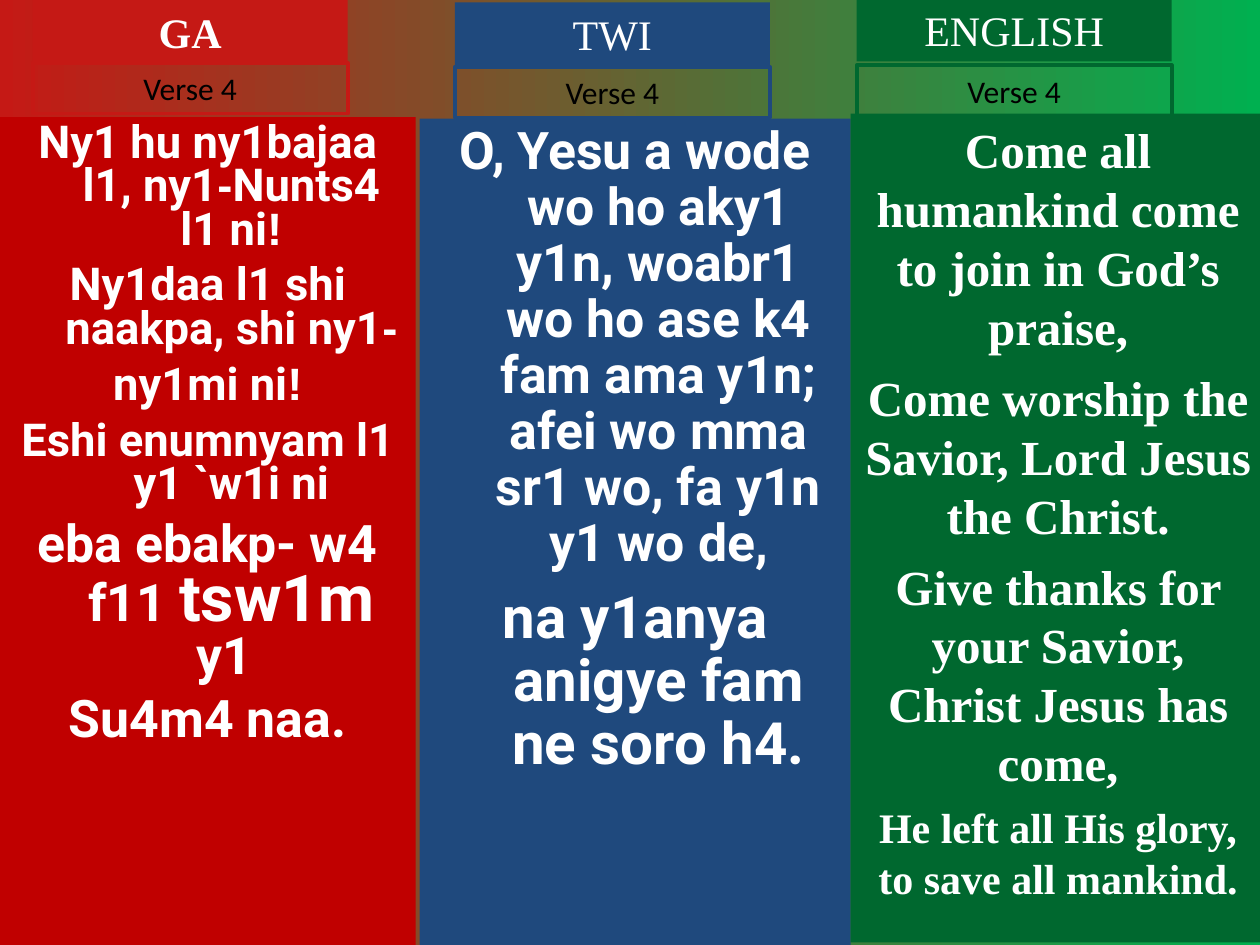
"""Build a hymn slide with one verse in three language columns."""
from dataclasses import dataclass

from pptx import Presentation
from pptx.dml.color import RGBColor
from pptx.enum.shapes import MSO_SHAPE as Kind
from pptx.enum.text import MSO_ANCHOR as Anchor, PP_ALIGN as Align
from pptx.util import Cm, Pt

ROBO, SANS, SERIF = "Roboto", "Arial", "Times New Roman"
WHITE, BLACK = "FFFFFF", "000000"
HANG = Cm(0.95)


@dataclass
class Run:
    text: str
    font: str = ""
    size: float = 0


@dataclass
class Line:
    runs: list[Run]
    size: float
    gap: float = 0


@dataclass
class Column:
    name: str
    bold: bool
    fill: str
    tint: str
    box: tuple[float, float, float, float]
    left: float
    top: float
    low: float
    font: str
    hang: bool
    pitch: float
    lines: list[Line]


COLUMNS = [
    Column("GA", True, "C00000", "C51915", (0, 2.36, 8.38, 16.69),
           0.66, 0, 1.27, ROBO, True, 0.8, [
        Line([Run("Ny1 hu ny1bajaa l1, ny1"), Run("-", SANS),
              Run("Nunts4 l1 ni"), Run("!", SANS)], 25.9),
        Line([Run("Ny1daa l1 shi naakpa, shi ny1"), Run("- ", SANS)], 25.9, 7),
        Line([Run("ny1mi ni"), Run("!", SANS)], 25.9, 7),
        Line([Run("Eshi enumnyam l1 y1 `w1i ni")], 25.9, 7),
        Line([Run("eba ebakp- w4 f11 "), Run("tsw1m ", size=37),
              Run("y1 ")], 29.6, 8),
        Line([Run("Su4m4 naa.")], 29.6, 8)]),
    Column("TWI", False, "1F497D", "1F497D", (8.46, 2.39, 8.69, 16.66),
           9.17, 0.05, 1.35, ROBO, True, 0.9, [
        Line([Run("O, Yesu a wode wo ho aky1 y1n, woabr1 wo ho ase k4 fam "
                  "ama y1n; afei wo mma sr1 wo, fa y1n y1 wo de,")], 29.6),
        Line([Run("na y1anya anigye fam ne soro h4.")], 33.3, 9)]),
    Column("ENGLISH", False, "00682F", "00682F", (17.15, 2.29, 8.36, 16.71),
           17.27, -0.03, 1.32, SERIF, False, 1.0, [
        Line([Run("Come all humankind come to join in God’s praise,")], 28),
        Line([Run("Come worship the Savior, Lord Jesus the Christ.")], 28, 7),
        Line([Run("Give thanks for your Savior, Christ Jesus has come,")],
             28, 7),
        Line([Run("He left all His glory, to save all mankind.")], 24, 6)]),
]


def color(code: str) -> RGBColor:
    return RGBColor.from_string(code)


def add_box(slide, box: tuple, fill: str = "", edge: str = ""):
    shape = slide.shapes.add_shape(Kind.RECTANGLE, *map(Cm, box))
    shape.shadow.inherit = False
    if fill:
        shape.fill.solid()
        shape.fill.fore_color.rgb = color(fill)
    else:
        shape.fill.background()
    if edge:
        shape.line.color.rgb = color(edge)
        shape.line.width = Pt(2.25)
    else:
        shape.line.fill.background()
    frame = shape.text_frame
    frame.word_wrap = True
    frame.vertical_anchor = Anchor.TOP
    return frame


def style(para, font: str, size: float, tint: str, bold: bool) -> None:
    para.alignment = Align.CENTER
    para.font.name = font
    para.font.size = Pt(size)
    para.font.bold = bold
    para.font.color.rgb = color(tint)
    for run in para.runs:
        run.font.color.rgb = color(tint)


def add_label(slide, box: tuple, text: str, font: str, size: float,
              tint: str, bold: bool = False, **look: str) -> None:
    para = add_box(slide, box, **look).paragraphs[0]
    para.add_run().text = text
    style(para, font, size, tint, bold)


def add_verse(slide, col: Column) -> None:
    frame = add_box(slide, col.box, col.fill)
    for i, line in enumerate(col.lines):
        para = frame.add_paragraph() if i else frame.paragraphs[0]
        if col.hang:
            props = para._p.get_or_add_pPr()
            props.set("marL", str(HANG))
            props.set("indent", str(-HANG))
        para.line_spacing = col.pitch
        para.space_before = Pt(line.gap)
        for part in line.runs:
            run = para.add_run()
            run.text = part.text
            run.font.name = part.font or col.font
            run.font.size = Pt(part.size or line.size)
            run.font.bold = True
        style(para, col.font, line.size, WHITE, True)


def add_column(slide, col: Column) -> None:
    add_verse(slide, col)
    add_label(slide, (col.left, col.top, 6.35, 1.27), col.name, SERIF, 24,
              WHITE, col.bold, fill=col.tint)
    add_label(slide, (col.left, col.low, 6.35, 1.02), "Verse 4", "Calibri",
              18, BLACK, edge=col.tint)


def main() -> None:
    deck = Presentation()
    deck.slide_width, deck.slide_height = Cm(25.4), Cm(19.05)
    slide = deck.slides.add_slide(deck.slide_layouts[6])
    back = slide.background.fill
    back.gradient()
    back.gradient_angle = 0
    for stop, code in zip(back.gradient_stops, ("C51915", "00B050")):
        stop.color.rgb = color(code)
    for col in COLUMNS:
        add_column(slide, col)
    deck.save("out.pptx")


if __name__ == "__main__":
    main()
